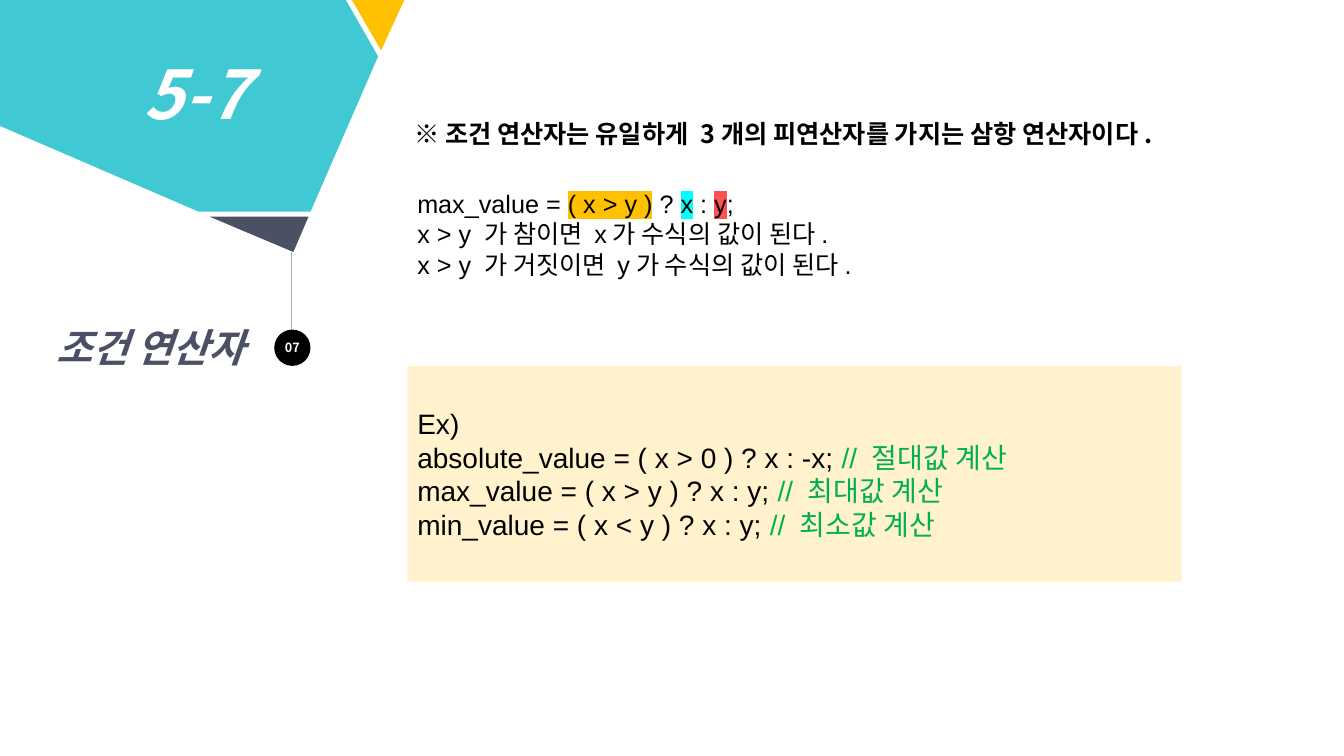
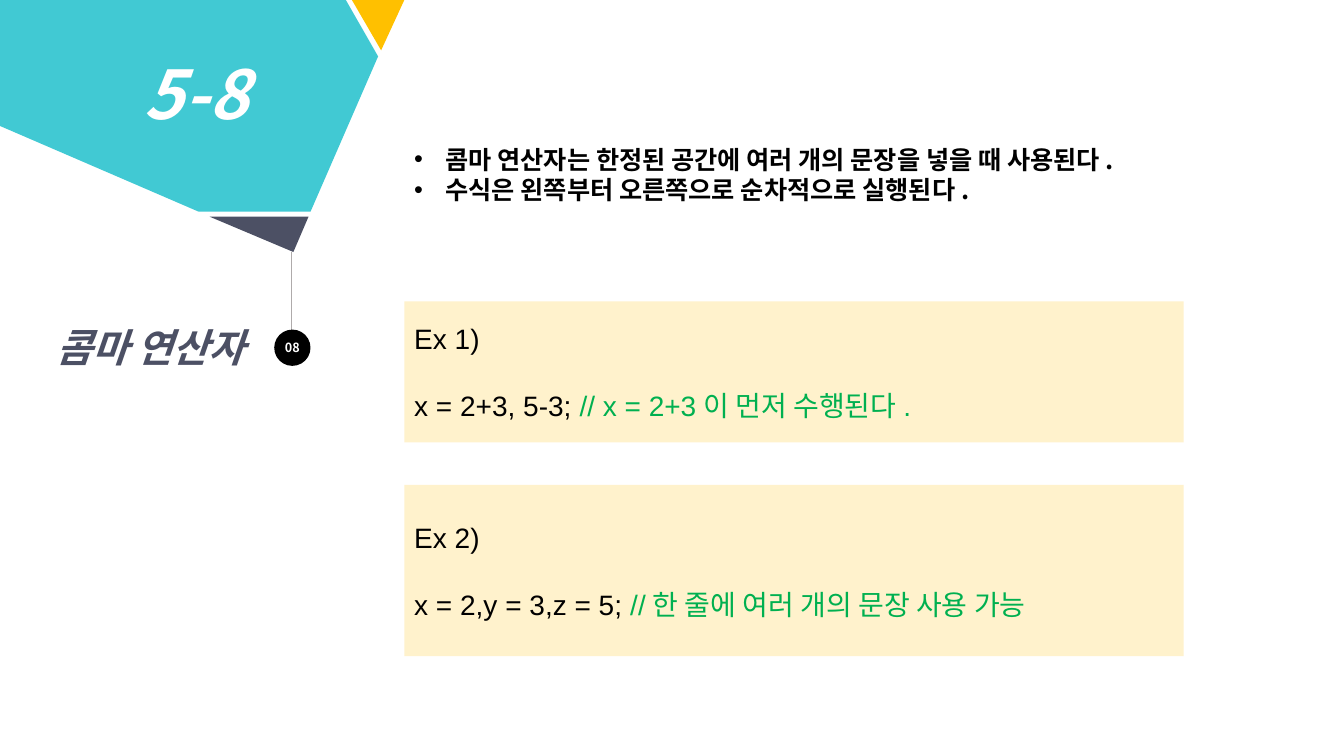
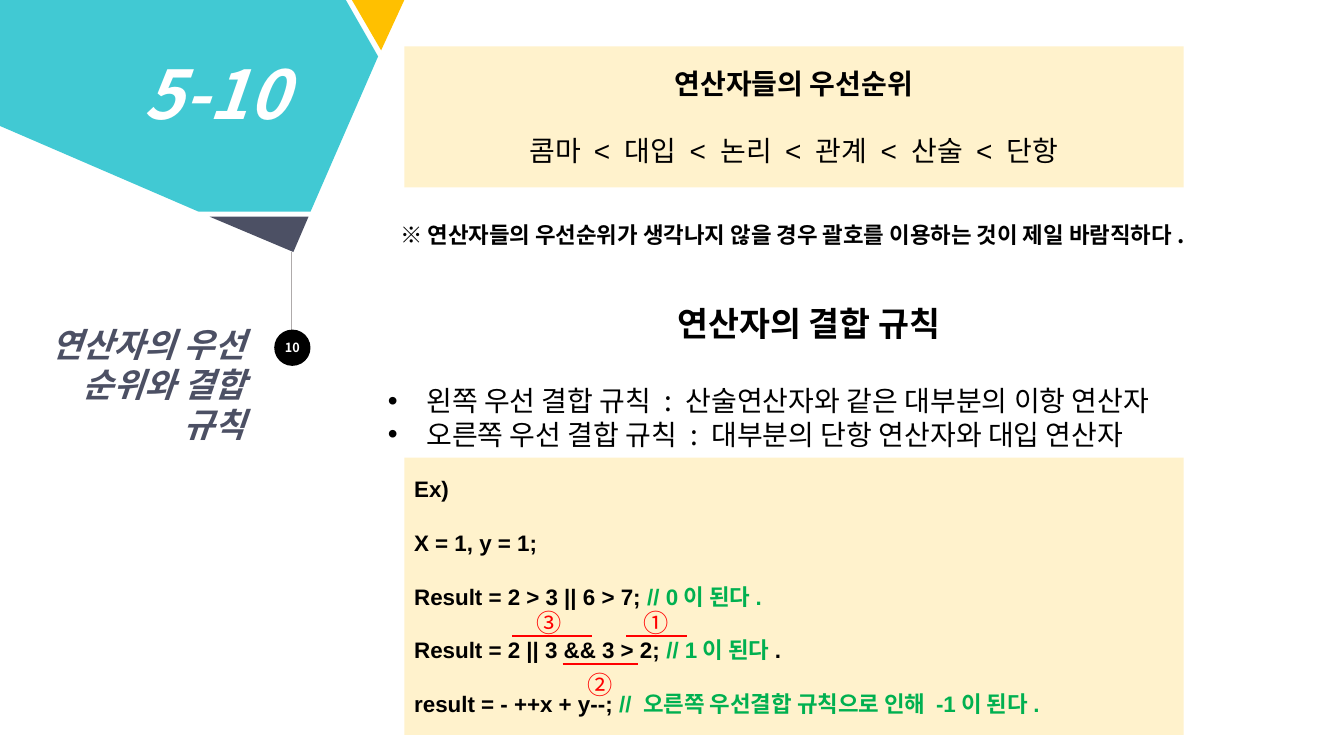
from dataclasses import dataclass
from typing import Optional

from lxml import etree
from pptx import Presentation
from pptx import util as u
from pptx.dml.color import RGBColor
from pptx.enum import shapes, text
from pptx.oxml import ns

PX = 9144  # EMU per px, 100 px to the inch
KOREAN, LATIN = "Noto Sans CJK KR", "Arial"
BLACK, WHITE, SLATE, TEAL = "000000", "FFFFFF", "4C5064", "41C9D3"
AMBER, CREAM, GREEN, RED, GREY = "FFC000", "FFF2CC", "00B050", "FF0000", "AFABAB"
CYAN, CORAL = "00FFFF", "FF5050"
LINE_HEIGHT = 1.2
LEFT, CENTER, RIGHT = text.PP_ALIGN.LEFT, text.PP_ALIGN.CENTER, text.PP_ALIGN.RIGHT
TOP, MIDDLE = text.MSO_ANCHOR.TOP, text.MSO_ANCHOR.MIDDLE


@dataclass(frozen=True)
class Box:
    left: int
    top: int
    width: int
    height: int

    def emu(self) -> tuple:
        return px(self.left), px(self.top), px(self.width), px(self.height)


@dataclass(frozen=True)
class Span:
    text: str
    color: str = BLACK
    highlight: Optional[str] = None


@dataclass(frozen=True)
class Para:
    spans: tuple
    size: int
    bold: bool = False
    italic: bool = False
    font: str = KOREAN
    align: text.PP_ALIGN = LEFT
    gap: float = 0  # points before the paragraph
    hang: int = 0  # hanging bullet indent in px


@dataclass(frozen=True)
class Section:
    number: int
    title: str
    title_size: int = 28
    title_height: int = 57


@dataclass(frozen=True)
class Facet:
    color: str
    points: tuple


FACETS = (
    Facet(AMBER, ((349, 0), (401, 0), (378, 50))),
    Facet(TEAL, ((0, 0), (343, 0), (375, 56), (308, 210), (197, 210), (0, 125))),
    Facet(SLATE, ((208, 215), (306, 215), (291, 250))),
)


def px(value: int) -> u.Emu:
    return u.Emu(value * PX)


def rgb(color: str) -> RGBColor:
    return RGBColor.from_string(color)


def plain(words: str, size: int, color: str = BLACK, **style) -> Para:
    return Para((Span(words, color),), size, **style)


def code(size: int, words: str, comment: str = "", tail: str = "", **style) -> Para:
    parts = (Span(words), Span(comment, GREEN), Span(tail))
    return Para(tuple(part for part in parts if part.text), size, font=LATIN, **style)


# Text
def add_span(para, span: Span, style: Para) -> None:
    run = para.add_run()
    run.text = span.text
    run.font.color.rgb = rgb(span.color)
    props = run.font._element
    if span.highlight:
        mark = etree.SubElement(props, ns.qn("a:highlight"))
        etree.SubElement(mark, ns.qn("a:srgbClr"), val=span.highlight)
    formats = {"size": u.Pt(style.size), "bold": style.bold,
               "italic": style.italic, "name": style.font}
    for name, value in formats.items():
        setattr(run.font, name, value)
    etree.SubElement(props, ns.qn("a:ea"), typeface=KOREAN)


def write(shape, paras: list, anchor=TOP, inset: Optional[int] = None) -> None:
    frame = shape.text_frame
    formats = {"word_wrap": True, "auto_size": text.MSO_AUTO_SIZE.NONE,
               "vertical_anchor": anchor}
    if inset is not None:
        for side in ("left", "right", "top", "bottom"):
            formats["margin_" + side] = px(inset)
    for name, value in formats.items():
        setattr(frame, name, value)
    for index, style in enumerate(paras):
        para = frame.add_paragraph() if index else frame.paragraphs[0]
        para.alignment = style.align
        if style.hang:
            props = para._p.get_or_add_pPr()
            props.set("marL", str(px(style.hang)))
            props.set("indent", str(-px(style.hang)))
            etree.SubElement(props, ns.qn("a:buFont"), typeface=LATIN)
            etree.SubElement(props, ns.qn("a:buChar"), char="•")
        if style.gap:
            para.space_before = u.Pt(style.gap)
        for span in style.spans:
            add_span(para, span, style)


def add_text(page, box: Box, paras: list) -> None:
    write(page.shapes.add_textbox(*box.emu()), paras)


# Shapes
def paint(shape, color: str) -> None:
    shape.shadow.inherit = False
    shape.fill.solid()
    shape.fill.fore_color.rgb = rgb(color)
    shape.line.fill.background()


def add_panel(page, box: Box, paras: list) -> None:
    panel = page.shapes.add_shape(shapes.MSO_SHAPE.RECTANGLE, *box.emu())
    paint(panel, CREAM)
    write(panel, paras, MIDDLE)


def add_line(page, start: tuple, end: tuple, color: str, width: float) -> None:
    line = page.shapes.add_connector(
        shapes.MSO_CONNECTOR.STRAIGHT, *(px(value) for value in start + end))
    line.line.color.rgb = rgb(color)
    line.line.width = u.Pt(width)
    etree.SubElement(line._element.spPr, ns.qn("a:effectLst"))


def add_page(deck, section: Section):
    """Add a page with the shared corner art, number badge and title."""
    page = deck.slides.add_slide(deck.slide_layouts[5])
    add_line(page, (289, 250), (289, 363), GREY, 0.5)
    for facet in FACETS:
        builder = page.shapes.build_freeform(*facet.points[0], scale=PX)
        builder.add_line_segments(facet.points[1:], close=True)
        paint(builder.convert_to_shape(), facet.color)

    badge = page.shapes.add_shape(shapes.MSO_SHAPE.OVAL, *Box(272, 327, 36, 36).emu())
    paint(badge, BLACK)
    write(badge, [plain(f"{section.number:02d}", 9, WHITE, bold=True, align=CENTER)],
          MIDDLE, inset=0)

    title = page.shapes.title
    title_box = Box(12, 316, 241, section.title_height)
    for name, value in zip(("left", "top", "width", "height"), title_box.emu()):
        setattr(title, name, value)
    write(title, [plain(section.title, section.title_size, SLATE,
                        bold=True, italic=True, align=RIGHT)])
    add_text(page, Box(133, 47, 200, 91),
             [plain(f"5-{section.number}", 48, WHITE, bold=True, italic=True)])
    return page


# Pages
def conditional_page(deck) -> None:
    page = add_page(deck, Section(7, "조건 연산자"))
    add_text(page, Box(401, 112, 820, 40), [
        plain("※ 조건 연산자는 유일하게 3개의 피연산자를 가지는 삼항 연산자이다.", 18, bold=True)])
    expression = (Span("max_value = "), Span("( x > y )", highlight=AMBER), Span(" ? "),
                  Span("x", highlight=CYAN), Span(" : "), Span("y", highlight=CORAL),
                  Span(";"))
    add_text(page, Box(404, 182, 545, 101), [
        Para(expression, 18, font=LATIN),
        code(18, "x > y 가 참이면 x가 수식의 값이 된다."),
        code(18, "x > y 가 거짓이면 y가 수식의 값이 된다.")])
    add_panel(page, Box(404, 363, 768, 214), [
        code(20, "Ex)"),
        code(20, "absolute_value = ( x > 0 ) ? x : -x; ", "// 절대값 계산"),
        code(20, "max_value = ( x > y ) ? x : y; ", "// 최대값 계산"),
        code(20, "min_value = ( x < y ) ? x : y; ", "// 최소값 계산")])


def comma_page(deck) -> None:
    page = add_page(deck, Section(8, "콤마 연산자"))
    rules = ("콤마 연산자는 한정된 공간에 여러 개의 문장을 넣을 때 사용된다.",
             "수식은 왼쪽부터 오른쪽으로 순차적으로 실행된다.")
    add_text(page, Box(401, 138, 800, 71),
             [plain(rule, 18, bold=True, hang=31) for rule in rules])
    examples = (
        (Box(401, 299, 773, 140), "x = 2+3, 5-3; ", "// x = 2+3이 먼저 수행된다."),
        (Box(401, 481, 773, 170), "x = 2,y = 3,z = 5; ",
         "//한 줄에 여러 개의 문장 사용 가능"),
    )
    for number, (box, statement, comment) in enumerate(examples, 1):
        add_panel(page, box, [
            code(20, f"Ex {number})"),
            code(20, statement, comment, gap=20 * LINE_HEIGHT)])


def precedence_page(deck) -> None:
    page = add_page(deck, Section(10, "연산자의 우선 순위와 결합 규칙", 24, 131))
    add_panel(page, Box(401, 46, 773, 140), [
        code(20, "연산자들의 우선순위", bold=True, align=CENTER),
        code(20, "콤마 < 대입 < 논리 < 관계 < 산술 < 단항",
             align=CENTER, gap=20 * LINE_HEIGHT)])
    add_text(page, Box(387, 214, 881, 37), [
        plain("※ 연산자들의 우선순위가 생각나지 않을 경우 괄호를 이용하는 것이 제일 바람직하다.",
              16, bold=True)])
    add_text(page, Box(375, 296, 854, 158), [
        plain("연산자의 결합 규칙", 24, bold=True, align=CENTER),
        plain("왼쪽 우선 결합 규칙 : 산술연산자와 같은 대부분의 이항 연산자", 20,
              hang=38, gap=24 * LINE_HEIGHT),
        plain("오른쪽 우선 결합 규칙 : 대부분의 단항 연산자와 대입 연산자", 20, hang=38)])

    statements = (
        ("Ex)",),
        ("X = 1, y = 1;",),
        ("Result = 2 > 3 || 6 > 7; ", "// 0이 된다."),
        ("Result = 2 || 3 && 3 > 2; ", "// 1이 된다", "."),
        ("result = - ++x + y--; ", "// 오른쪽 우선결합 규칙으로 인해 -1이 된다."),
    )
    add_panel(page, Box(401, 454, 773, 275), [
        code(16, *parts, bold=True, gap=16 * LINE_HEIGHT if index else 0)
        for index, parts in enumerate(statements)])

    # Evaluation order: rule from, rule to, rule height, label left, label top
    steps = (("①", 621, 681, 631, 628, 598),
             ("②", 558, 633, 659, 573, 659),
             ("③", 508, 587, 631, 522, 598))
    for label, start, end, height, left, top in steps:
        add_line(page, (start, height), (end, height), RED, 1.75)
        add_text(page, Box(left, top, 60, 40), [plain(label, 18, RED)])


def main() -> None:
    deck = Presentation()
    deck.slide_width, deck.slide_height = px(1333), px(750)
    conditional_page(deck)
    comma_page(deck)
    precedence_page(deck)
    deck.save("out.pptx")


if __name__ == "__main__":
    main()
